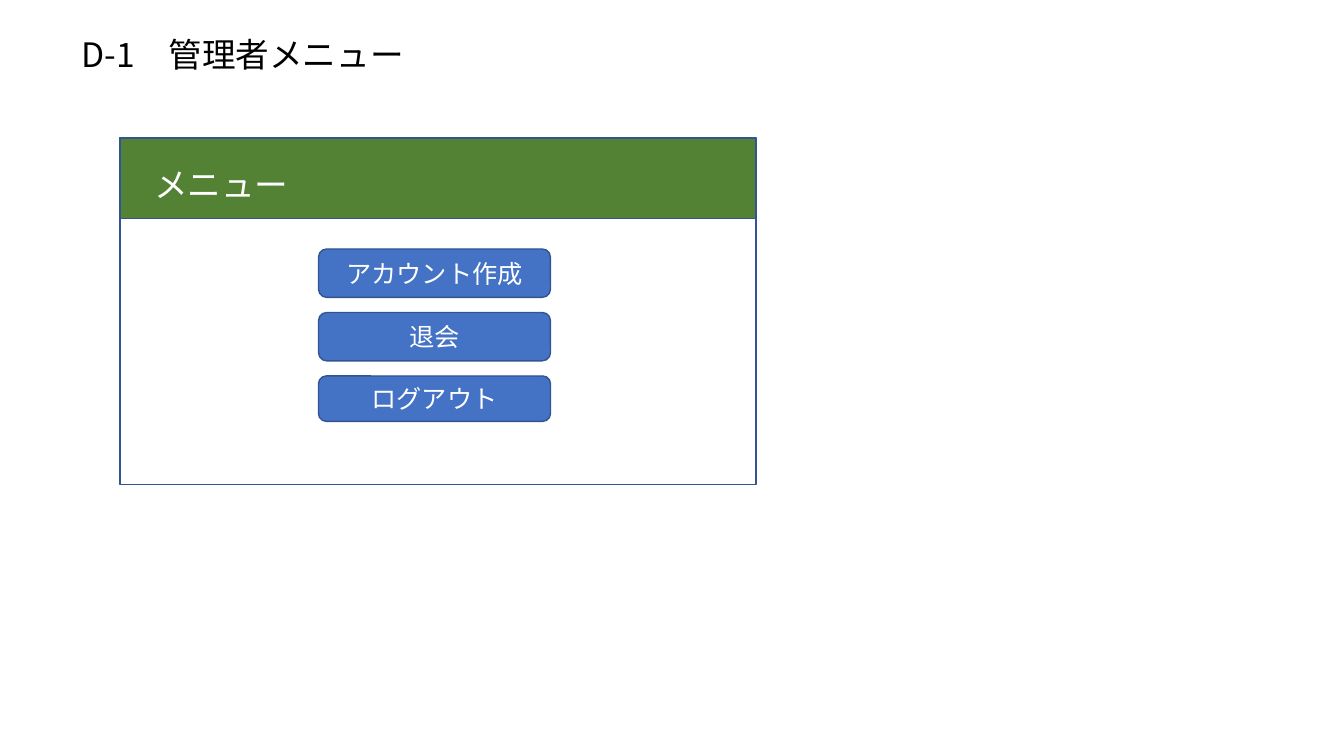
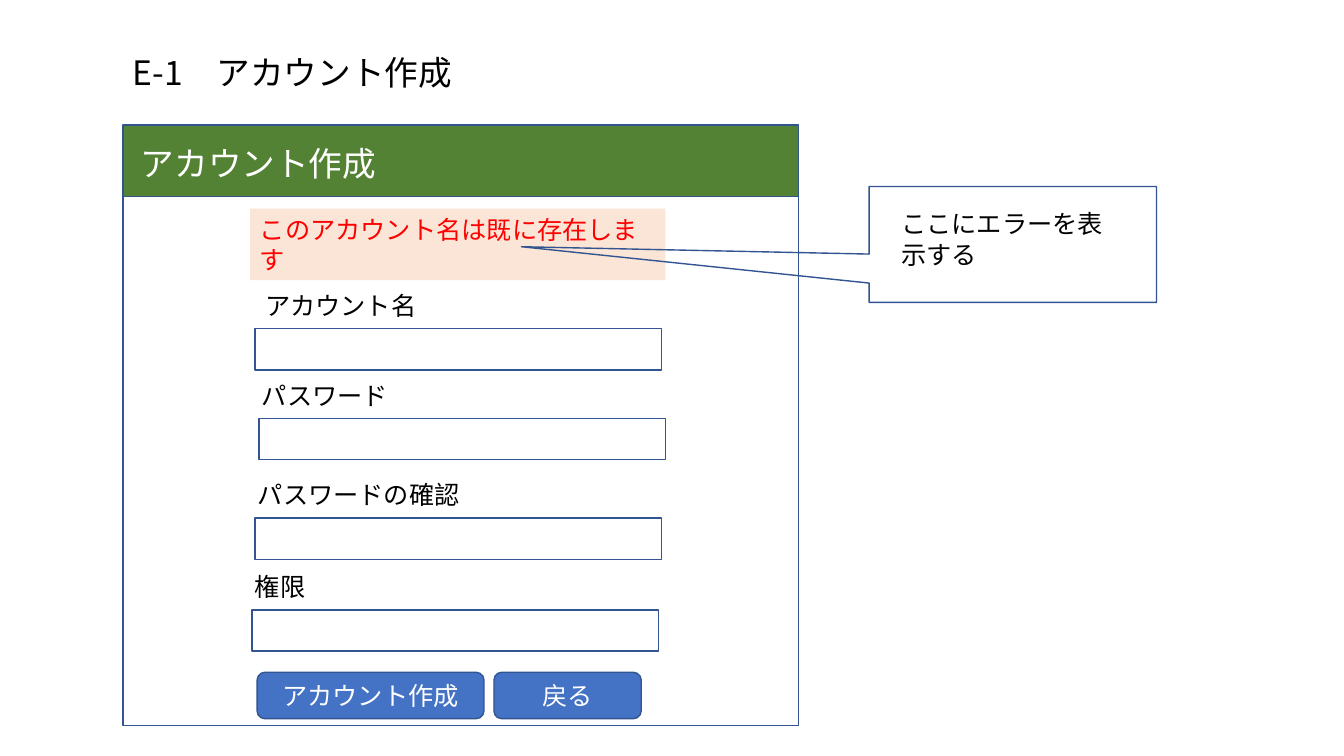
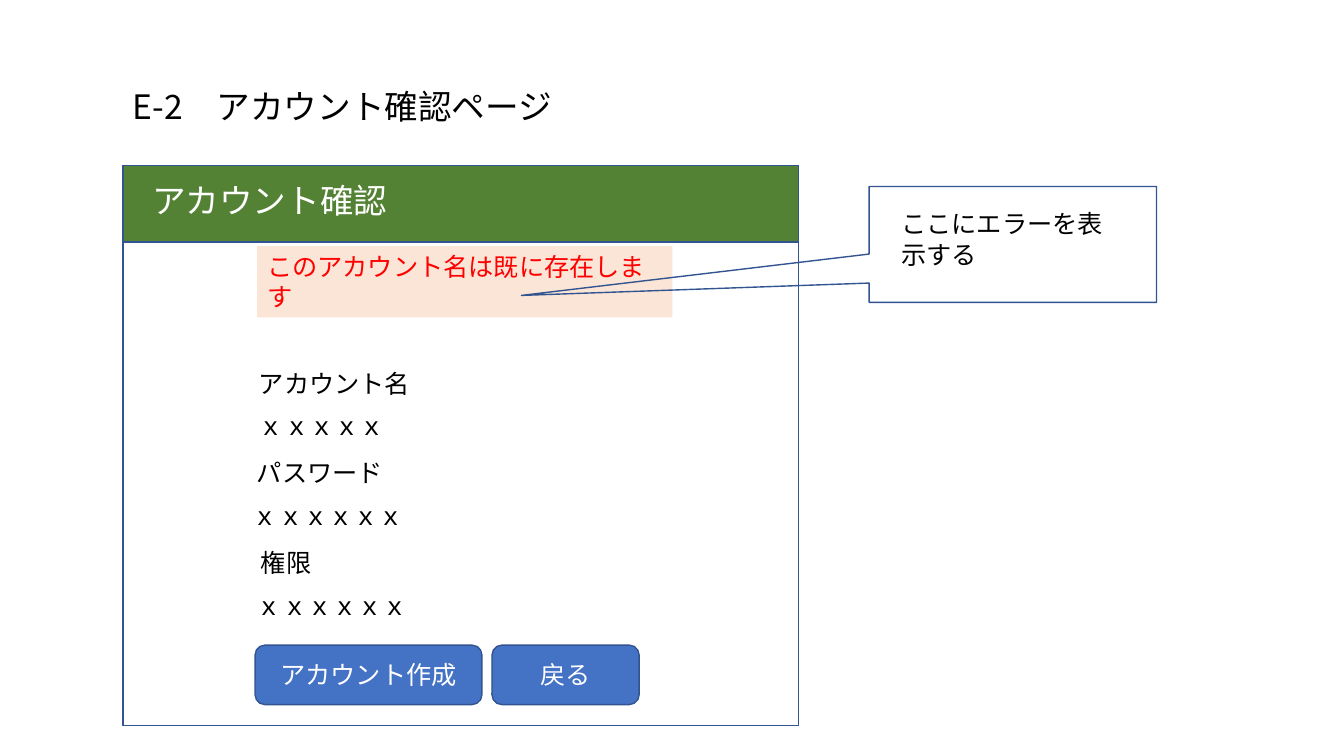
from dataclasses import dataclass
from typing import NamedTuple

from lxml.etree import SubElement
from pptx import Presentation
from pptx.dml.color import RGBColor
from pptx.enum.shapes import MSO_SHAPE
from pptx.enum.text import MSO_ANCHOR, MSO_AUTO_SIZE, PP_ALIGN
from pptx.oxml.ns import qn
from pptx.shapes.autoshape import Shape
from pptx.slide import Slide
from pptx.util import Inches, Pt

FONT = "Noto Sans CJK JP"
BLACK, WHITE, RED = "000000", "FFFFFF", "FF0000"
GREEN, BLUE, OUTLINE, PEACH = "548235", "4472C4", "325491", "FBE5D6"
HEADING_SIZE, BODY_SIZE = 24, 18
HEADING_HEIGHT, LINE_HEIGHT, TWO_LINE_HEIGHT = 0.5, 0.41, 0.71

GROWING = {"word_wrap": True, "auto_size": MSO_AUTO_SIZE.SHAPE_TO_FIT_TEXT}
CENTRED_LINE = {"word_wrap": True, "vertical_anchor": MSO_ANCHOR.MIDDLE}


class Area(NamedTuple):
    left: float
    top: float
    width: float
    height: float


class Label(NamedTuple):
    text: str
    area: Area
    size: int = BODY_SIZE
    color: str = BLACK
    frame_format: dict = GROWING


class Button(NamedTuple):
    text: str
    area: Area


@dataclass
class Screen:
    """A mocked-up window: slide title, outlined panel and green header."""
    title: Label
    panel: Area
    header: Area
    heading: Label


def rgb(color: str) -> RGBColor:
    return RGBColor.from_string(color)


def write(shape: Shape, text: str, size: int, color: str,
          frame_format: dict, align: PP_ALIGN = PP_ALIGN.LEFT) -> None:
    frame = shape.text_frame
    for name, value in frame_format.items():
        setattr(frame, name, value)
    para = frame.paragraphs[0]
    para.alignment = align
    span = para.add_run()
    span.text = text
    for name, value in {"name": FONT, "size": Pt(size)}.items():
        setattr(span.font, name, value)
    span.font.color.rgb = rgb(color)
    # Japanese glyphs take the East Asian typeface
    SubElement(span.font._element, qn("a:ea"), typeface=FONT)


def add_box(page: Slide, area: Area, fill: str | None = None,
            line: str | None = OUTLINE,
            kind: MSO_SHAPE = MSO_SHAPE.RECTANGLE) -> Shape:
    box = page.shapes.add_shape(kind, *map(Inches, area))
    box.shadow.inherit = False
    if fill:
        box.fill.solid()
        box.fill.fore_color.rgb = rgb(fill)
    else:
        box.fill.background()
    if line:
        box.line.color.rgb = rgb(line)
        box.line.width = Pt(1)
    else:
        box.line.fill.background()
    return box


def add_label(page: Slide, label: Label) -> None:
    box = page.shapes.add_textbox(*map(Inches, label.area))
    write(box, label.text, label.size, label.color, label.frame_format)


def add_button(page: Slide, button: Button) -> None:
    box = add_box(page, button.area, BLUE, kind=MSO_SHAPE.ROUNDED_RECTANGLE)
    write(box, button.text, BODY_SIZE, WHITE, CENTRED_LINE, PP_ALIGN.CENTER)


def add_form_buttons(page: Slide, left: float, top: float, height: float) -> None:
    create_width, back_width, gap = 2.25, 1.46, 0.1
    add_button(page, Button("アカウント作成", Area(left, top, create_width, height)))
    back_left = left + create_width + gap
    add_button(page, Button("戻る", Area(back_left, top, back_width, height)))


def add_error(page: Slide, left: float, top: float, pointer_y: float) -> None:
    """Draw the error message and the callout whose tip points at it."""
    message = add_box(page, Area(left, top, 4.12, TWO_LINE_HEIGHT), PEACH, None)
    write(message, "このアカウント名は既に存在します", BODY_SIZE, RED, GROWING)
    callout = add_box(page, Area(8.62, 1.85, 2.85, 1.15),
                      kind=MSO_SHAPE.RECTANGULAR_CALLOUT)
    callout.adjustments[0] = -1.71
    callout.adjustments[1] = pointer_y
    add_label(page, Label("ここにエラーを表示する",
                          Area(8.84, 2.02, 2.26, TWO_LINE_HEIGHT)))


def add_screen(deck: Presentation, screen: Screen) -> Slide:
    page = deck.slides.add_slide(deck.slide_layouts[6])
    add_label(page, screen.title)
    add_box(page, screen.panel)
    add_box(page, screen.header, GREEN)
    add_label(page, screen.heading)
    return page


def heading(text: str, left: float, top: float, width: float,
            color: str = BLACK) -> Label:
    return Label(text, Area(left, top, width, HEADING_HEIGHT), HEADING_SIZE, color)


def build_menu(deck: Presentation) -> None:
    page = add_screen(deck, Screen(
        heading("D-1　管理者メニュー", 0.71, 0.29, 5.45),
        Area(1.19, 1.37, 6.31, 3.44), Area(1.19, 1.37, 6.31, 0.8),
        heading("メニュー", 1.43, 1.58, 2.19, WHITE)))
    entries = {"アカウント作成": 0.48, "退会": 0.48, "ログアウト": 0.45}
    for row, (text, height) in enumerate(entries.items()):
        add_button(page, Button(text, Area(3.16, 2.47 + row * 0.63, 2.3, height)))


def build_create_form(deck: Presentation) -> None:
    page = add_screen(deck, Screen(
        heading("E-1　アカウント作成", 1.22, 0.47, 5.9),
        Area(1.22, 1.64, 6.7, 5.56), Area(1.22, 1.24, 6.7, 0.71),
        heading("アカウント作成", 1.3, 1.37, 2.76, WHITE)))
    # text, label left, label top, field left
    fields = [("アカウント名", 2.53, 2.83, 2.53),
              ("パスワード", 2.5, 3.72, 2.57),
              ("パスワードの確認", 2.46, 4.71, 2.53),
              ("権限", 2.43, 5.62, 2.5)]
    for text, label_left, top, field_left in fields:
        add_label(page, Label(text, Area(label_left, top, 3.15, LINE_HEIGHT)))
        add_box(page, Area(field_left, top + 0.43, 4.03, LINE_HEIGHT))
    add_form_buttons(page, 2.55, 6.67, 0.46)
    add_error(page, 2.48, 2.07, 0.02)


def build_confirm_form(deck: Presentation) -> None:
    page = add_screen(deck, Screen(
        heading("E-2　アカウント確認ページ", 1.22, 0.8, 5.9),
        Area(1.22, 1.64, 6.7, 5.56), Area(1.22, 1.64, 6.7, 0.76),
        heading("アカウント確認", 1.41, 1.74, 2.76, WHITE)))
    # label, label left, value, value left
    entries = [("アカウント名", 2.47, "ｘｘｘｘｘ", 2.47),
               ("パスワード", 2.45, "ｘｘｘｘｘｘ", 2.41),
               ("権限", 2.49, "ｘｘｘｘｘｘ", 2.45)]
    for row, (text, label_left, value, value_left) in enumerate(entries):
        top = 3.6 + row * 0.89
        add_label(page, Label(text, Area(label_left, top, 2.13, LINE_HEIGHT)))
        add_label(page, Label(value, Area(value_left, top + 0.42, 4.03, LINE_HEIGHT),
                              frame_format=CENTRED_LINE))
    add_form_buttons(page, 2.53, 6.4, 0.59)
    add_error(page, 2.55, 2.44, 0.44)


def main() -> None:
    deck = Presentation()
    deck.slide_width, deck.slide_height = Inches(13.33), Inches(7.5)
    build_menu(deck)
    build_create_form(deck)
    build_confirm_form(deck)
    deck.save("out.pptx")


if __name__ == "__main__":
    main()
